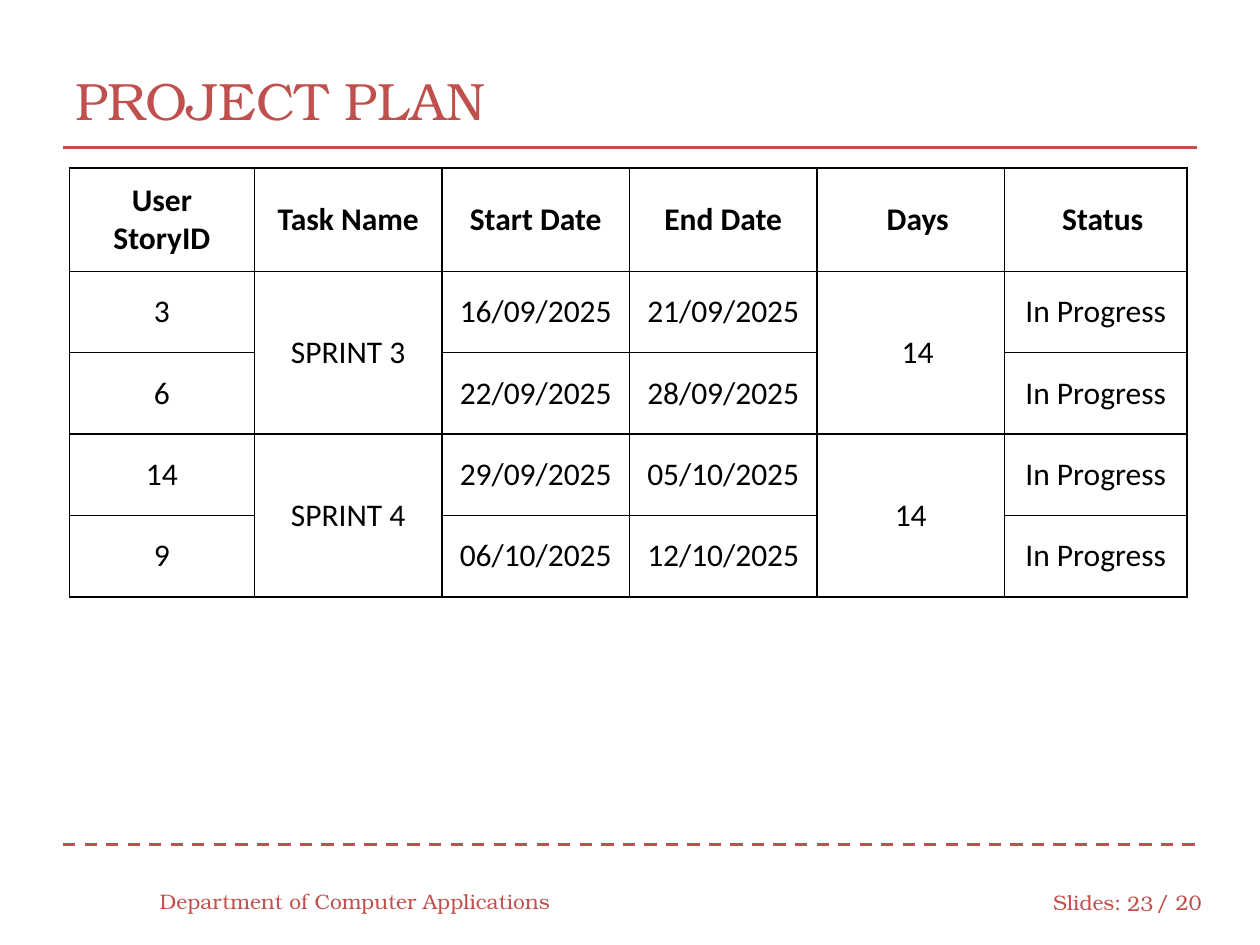
from lxml import etree
from pptx import Presentation
from pptx import util as u
from pptx.dml.color import RGBColor
from pptx.enum import dml, shapes, text
from pptx.oxml import ns

COLOURS = {"accent": "C0504D", "ink": "000000", "paper": "FFFFFF"}
HEADING_FONT = "TeX Gyre Bonum"
TABLE_FONT = "Calibri"
CELL_MARGIN = 0.25
EXTRA_INDENT = 0.28


def add_run(paragraph, words, font, size, colour, bold=False):
    run = paragraph.add_run()
    run.text = words
    run.font.name = font
    run.font.size = u.Pt(size)
    run.font.bold = bold
    run.font.color.rgb = RGBColor.from_string(COLOURS[colour])


def add_borders(cell):
    """Give all four sides of a table cell a thin solid line."""
    properties = cell._tc.get_or_add_tcPr()
    for side in ("a:lnL", "a:lnR", "a:lnT", "a:lnB"):
        line = etree.SubElement(properties, ns.qn(side), w=str(u.Pt(1)))
        fill = etree.SubElement(line, ns.qn("a:solidFill"))
        etree.SubElement(fill, ns.qn("a:srgbClr"), val=COLOURS["ink"])


presentation = Presentation()
presentation.slide_width = u.Cm(25.4)
presentation.slide_height = u.Cm(19.05)
slide = presentation.slides.add_slide(presentation.slide_layouts[6])

# Rules below the title and above the footer
for top, dash in ((17.02, dml.MSO_LINE.DASH), (2.97, dml.MSO_LINE.SOLID)):
    rule = slide.shapes.add_connector(
        shapes.MSO_CONNECTOR.STRAIGHT, u.Cm(1.27), u.Cm(top), u.Cm(24.13), u.Cm(top))
    rule.line.color.rgb = RGBColor.from_string(COLOURS["accent"])
    rule.line.width = u.Pt(1.75)
    rule.line.dash_style = dash
    etree.SubElement(rule._element.spPr, ns.qn("a:effectLst"))

# Title and footer: words, left, top, width, height, size, alignment
LEFT, RIGHT = text.PP_ALIGN.LEFT, text.PP_ALIGN.RIGHT
labels = [
    ("PROJECT PLAN", 1.27, 0.84, 22.86, 2.34, 30, LEFT),
    ("Department of Computer Applications", 2.97, 17.65, 8.46, 1.02, 12, LEFT),
    ("Slides:", 20.98, 17.68, 1.91, 1.02, 12, LEFT),
    ("23", 22.43, 17.7, 1.07, 1.02, 12, RIGHT),
    ("/ 20", 23.06, 17.68, 1.47, 1.02, 12, LEFT),
]
for words, left, top, width, height, size, alignment in labels:
    label = slide.shapes.add_textbox(u.Cm(left), u.Cm(top), u.Cm(width), u.Cm(height))
    frame = label.text_frame
    frame.word_wrap = True
    frame.vertical_anchor = text.MSO_ANCHOR.MIDDLE
    paragraph = frame.paragraphs[0]
    paragraph.alignment = alignment
    add_run(paragraph, words, HEADING_FONT, size, "accent")

# Sprint table; an empty string continues the merged cell above
rows = [
    ("User\nStoryID", "Task Name", "Start Date", "End Date", "Days", "Status"),
    ("3", "SPRINT 3", "16/09/2025", "21/09/2025", "14", "In Progress"),
    ("6", "", "22/09/2025", "28/09/2025", "", "In Progress"),
    ("14", "SPRINT 4", "29/09/2025", "05/10/2025", "14", "In Progress"),
    ("9", "", "06/10/2025", "12/10/2025", "", "In Progress"),
]
column_widths = [3.73] + [3.78] * 4 + [3.68]
row_heights = [2.08] + [1.64] * 4
indented_cells = {(0, 4), (0, 5), (1, 4)}

table = slide.shapes.add_table(
    len(rows), len(column_widths), u.Cm(1.4), u.Cm(3.39),
    u.Cm(sum(column_widths)), u.Cm(sum(row_heights))).table
table.first_row = False
table.horz_banding = False
for column, width in zip(table.columns, column_widths):
    column.width = u.Cm(width)
for row, height in zip(table.rows, row_heights):
    row.height = u.Cm(height)

for row_index, row in enumerate(rows):
    for column_index, words in enumerate(row):
        cell = table.cell(row_index, column_index)
        add_borders(cell)
        cell.fill.solid()
        cell.fill.fore_color.rgb = RGBColor.from_string(COLOURS["paper"])
        if not words:
            table.cell(row_index - 1, column_index).merge(cell)
            continue
        cell.vertical_anchor = text.MSO_ANCHOR.MIDDLE
        indent = EXTRA_INDENT if (row_index, column_index) in indented_cells else 0
        cell.margin_left = u.Cm(CELL_MARGIN + indent)
        cell.margin_right = cell.margin_top = cell.margin_bottom = u.Cm(CELL_MARGIN)
        for line_index, line in enumerate(words.split("\n")):
            frame = cell.text_frame
            paragraph = frame.add_paragraph() if line_index else frame.paragraphs[0]
            paragraph.alignment = text.PP_ALIGN.CENTER
            add_run(paragraph, line, TABLE_FONT, 18, "ink", bold=row_index == 0)

presentation.save("out.pptx")
